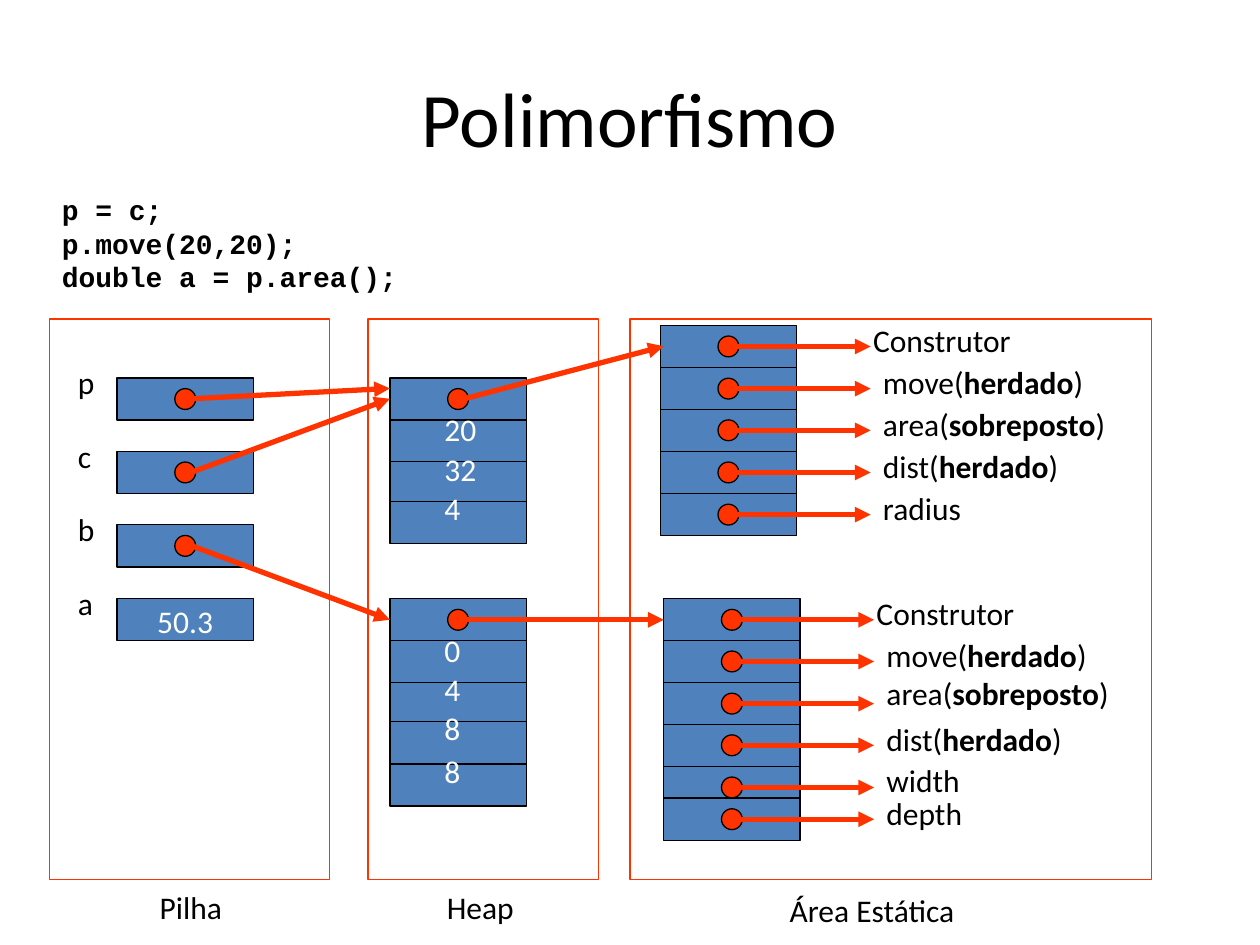
from lxml import etree
from pptx import Presentation
from pptx.dml.color import RGBColor
from pptx.enum.shapes import MSO_CONNECTOR, MSO_SHAPE
from pptx.enum.text import MSO_ANCHOR, PP_ALIGN
from pptx.oxml.ns import qn
from pptx.util import Cm, Pt

RECT, OVAL = MSO_SHAPE.RECTANGLE, MSO_SHAPE.OVAL
STRAIGHT = MSO_CONNECTOR.STRAIGHT
MIDDLE, CENTER = MSO_ANCHOR.MIDDLE, PP_ALIGN.CENTER

BLUE, RED, BLACK, WHITE = "4F81BD", "FF3300", "000000", "FFFFFF"
CELL_W, CELL_H, DOT = 2.75, 0.85, 0.42
STACK_X, HEAP_X = 2.36, 7.86
STACK_TOP, STACK_STEP = 7.62, 1.48
LOWER_TOP = 12.07
MID = CELL_H / 2

FRAMES = [(1.0, 5.64), (7.42, 4.65), (12.7, 10.52)]  # left, width
CAPTIONS = [("Pilha", 2.97, 17.78, 1.98, 1.02), ("Heap", 8.76, 17.78, 2.74, 1.27),
            ("Área Estática", 15.67, 17.83, 4.6, 1.02)]

# cell top, text top, text
CIRCLE_OBJECT = [(7.62, None, None), (8.47, 8.15, "20"), (9.31, 8.94, "32"),
                 (10.11, 9.73, "4")]
BLOCK_OBJECT = [(LOWER_TOP, None, None), (12.91, 12.6, "0"), (13.76, 13.39, "4"),
                (14.55, 14.17, "8"), (15.4, 15.04, "8")]

# cell top, label top, label width, label (bold part between asterisks)
CIRCLE_CLASS = [(6.56, 6.35, 4.45, "Construtor"), (7.41, 7.2, 6.4, "move(*herdado*)"),
                (8.25, 8.04, 7.2, "area(*sobreposto*)"),
                (9.1, 8.89, 5.97, "dist(*herdado*)"), (9.95, 9.74, 2.96, "radius")]
BLOCK_CLASS = [(LOWER_TOP, 11.86, 4.45, "Construtor"), (12.91, 12.7, 6.14, "move(*herdado*)"),
               (13.76, 13.46, 7.2, "area(*sobreposto*)"),
               (14.6, 14.39, 6.56, "dist(*herdado*)"), (15.45, 15.21, 2.54, "width"),
               (16.09, 15.88, 2.54, "depth")]


def rgb(value):
    return RGBColor.from_string(value)


def add_box(shapes, kind, x, y, w, h, fill, line):
    s = shapes.add_shape(kind, Cm(x), Cm(y), Cm(w), Cm(h))
    s.shadow.inherit = False
    if fill:
        s.fill.solid()
        s.fill.fore_color.rgb = rgb(fill)
    else:
        s.fill.background()
    s.line.color.rgb = rgb(line)
    s.line.width = Pt(0.75)


def add_cell(shapes, x, y, dot=True):
    add_box(shapes, RECT, x, y, CELL_W, CELL_H, BLUE, BLACK)
    if dot:
        add_box(shapes, OVAL, x + (CELL_W - DOT) / 2, y + (CELL_H - DOT) / 2,
                DOT, DOT, RED, BLACK)


def add_arrow(shapes, x1, y1, x2, y2):
    s = shapes.add_connector(STRAIGHT, Cm(x1), Cm(y1), Cm(x2), Cm(y2))
    s.line.color.rgb = rgb(RED)
    s.line.width = Pt(3)
    etree.SubElement(s.line._get_or_add_ln(), qn("a:tailEnd"), type="triangle")
    etree.SubElement(s._element.spPr, qn("a:effectLst"))


def add_text(shapes, text, x, y, w, h, color=BLACK, size=18, font="Calibri", bold=False):
    """Parts between asterisks are set in bold."""
    tf = shapes.add_textbox(Cm(x), Cm(y), Cm(w), Cm(h)).text_frame
    tf.word_wrap = True
    for i, line in enumerate(text.split("\n")):
        p = tf.add_paragraph() if i else tf.paragraphs[0]
        for j, part in enumerate(line.split("*")):
            r = p.add_run()
            r.text = part
            r.font.size, r.font.name = Pt(size), font
            r.font.bold = bold or j % 2 == 1
            r.font.color.rgb = rgb(color)
    return tf


def add_class_table(shapes, x, rows):
    group = shapes.add_group_shape().shapes
    for i, (top, label_top, width, label) in enumerate(rows):
        add_cell(group, x, top)
        add_arrow(group, x + 1.5, top + MID, x + 4.24, top + MID)
        indent = 4.24 if i else 4.04
        add_text(group, label, x + indent, label_top, width, 1.27)


def add_heap_object(shapes, rows):
    group = shapes.add_group_shape().shapes
    for top, text_top, value in rows:
        add_cell(group, HEAP_X, top, dot=value is None)
        if value:
            add_text(group, value, HEAP_X + 0.85, text_top, 1.6, 1.02, WHITE)


def add_stack(shapes):
    for i, name in enumerate("pcba"):
        y = STACK_TOP + i * STACK_STEP
        group = shapes.add_group_shape().shapes
        add_cell(group, STACK_X, y, dot=name != "a")
        add_text(group, name, 1.32, y - 0.42, 1.48, 1.27)
    add_text(shapes, "50.3", 2.92, 12.01, 2.12, 1.02, WHITE)


def add_references(shapes):
    lower = LOWER_TOP + MID
    for x1, y1, x2, y2 in [
        (HEAP_X + 1.5, 8.04, 13.38, 6.98),
        (HEAP_X + 1.5, lower, 13.38, lower),
        (STACK_X + 1.5, 8.04, HEAP_X, 7.83),
        (STACK_X + 1.5, 9.52, HEAP_X, 8.04),
        (STACK_X + 1.5, 11.0, HEAP_X, lower),
    ]:
        add_arrow(shapes, x1, y1, x2, y2)


def main():
    prs = Presentation()
    prs.slide_width, prs.slide_height = Cm(25.4), Cm(19.05)
    shapes = prs.slides.add_slide(prs.slide_layouts[6]).shapes

    title = add_text(shapes, "Polimorfismo", 1.27, 0.76, 22.86, 3.18, size=44)
    title.vertical_anchor = MIDDLE
    title.paragraphs[0].alignment = CENTER

    add_class_table(shapes, 13.31, CIRCLE_CLASS)
    add_class_table(shapes, 13.38, BLOCK_CLASS)
    add_heap_object(shapes, CIRCLE_OBJECT)
    add_heap_object(shapes, BLOCK_OBJECT)
    add_stack(shapes)
    add_references(shapes)

    code = add_text(shapes, "p = c;\np.move(20,20);\ndouble a = p.area();",
                    1.0, 3.76, 12.7, 2.31, size=16, font="Courier New", bold=True)
    for p in code.paragraphs:
        p.line_spacing = Pt(19.2)

    for x, w in FRAMES:
        add_box(shapes, RECT, x, 6.43, w, 11.3, None, RED)
    for caption in CAPTIONS:
        add_text(shapes, *caption)

    prs.save("out.pptx")


if __name__ == "__main__":
    main()
